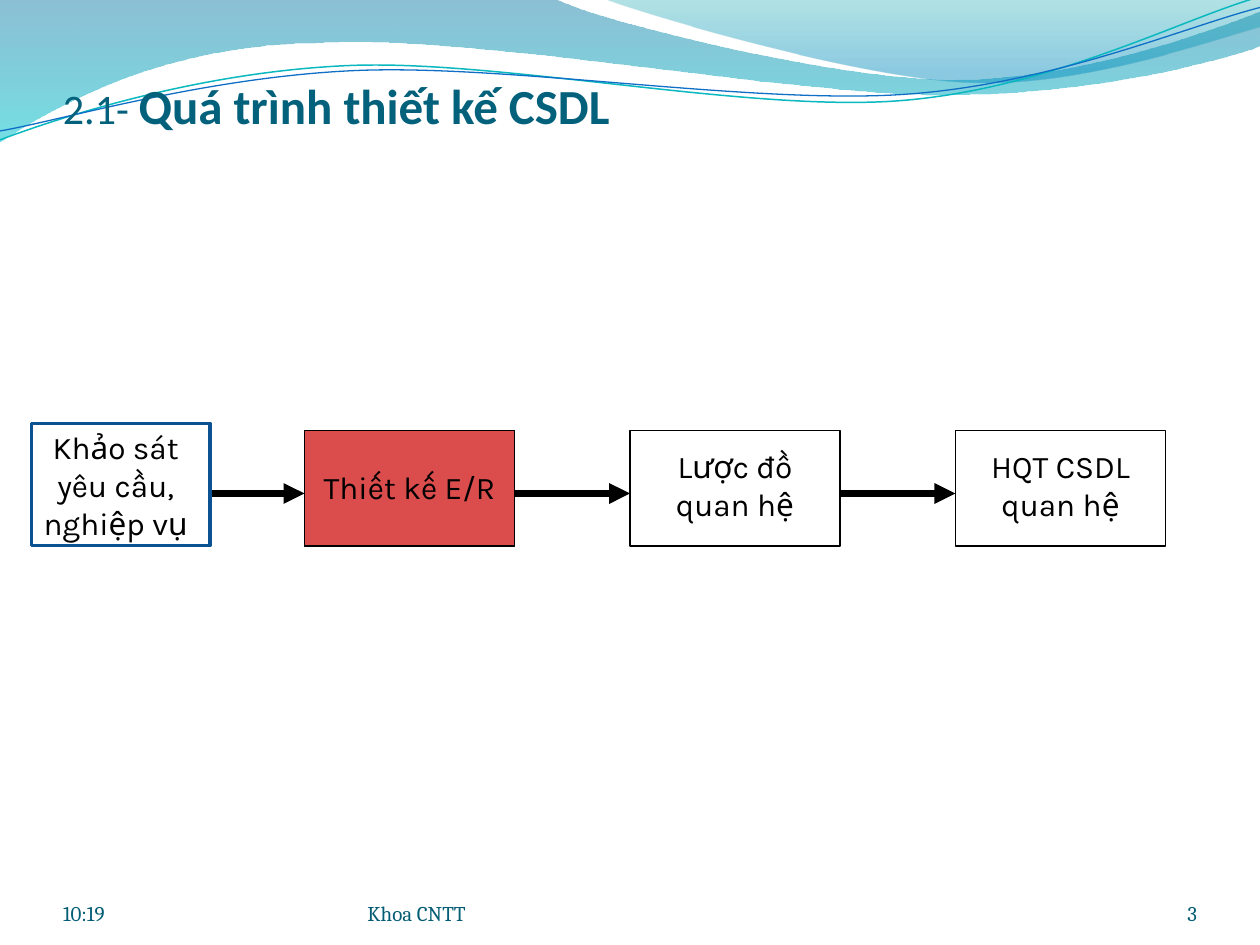
from dataclasses import dataclass
from math import cos, radians, sin

from lxml.etree import SubElement
from pptx import Presentation
from pptx.dml.color import RGBColor
from pptx.enum.shapes import MSO_CONNECTOR as Connector, MSO_SHAPE as Shape
from pptx.enum.text import MSO_ANCHOR as Anchor, MSO_AUTO_SIZE as AutoSize, PP_ALIGN as Align
from pptx.oxml.ns import qn
from pptx.util import Inches, Pt


@dataclass(frozen=True)
class Theme:
    """Colours, fonts and type sizes of the slide."""
    ink: str = "000000"
    title: str = "04617B"
    footer: str = "045D75"
    survey: str = "0B5292"
    current: str = "CC0000"
    heading_font: str = "Calibri"
    footer_font: str = "Cambria"
    step_font: str = "Karla"
    number_size: int = 24
    title_size: int = 28
    step_size: int = 18
    footer_size: int = 12


@dataclass(frozen=True)
class Box:
    """A region in grid cells; the slide has 120 columns and 90 rows."""
    left: float
    top: float
    width: float
    height: float

    def at(self, x, y, width, height):
        """Give a part, offset by x and y cells from the corner."""
        return Box(self.left + x, self.top + y, width, height)

    def emu(self):
        return [cells(v) for v in (self.left, self.top, self.width, self.height)]


THEME = Theme()
PAGE = Box(0, 0, 120, 90)
rgb = RGBColor.from_string


def cells(count):
    """Turn grid cells, twelve to the inch, into a length."""
    return Inches(count / 12)


def set_alpha(color_element, percent):
    """Make a colour element partly transparent."""
    SubElement(color_element, qn("a:alpha")).set("val", str(percent * 1000))


def set_font(font, name, size, color, bold=False):
    """Set the looks of a run or paragraph font."""
    font.name, font.size, font.bold = name, Pt(size), bold
    font.color.rgb = rgb(color)


def add_frame(slide, box, anchor, top_inset=0):
    """Add a wrapping text frame without side insets."""
    frame = slide.shapes.add_textbox(*box.emu()).text_frame
    frame.word_wrap, frame.vertical_anchor = True, anchor
    frame.margin_left = frame.margin_right = frame.margin_bottom = 0
    frame.margin_top = Inches(top_inset)
    return frame


def add_curve(slide, points, kinds, close=False):
    """Draw points (inches) as lines "L" and cubic curves "C"."""
    spots = [(Inches(x), Inches(y)) for x, y in points]
    builder = slide.shapes.build_freeform(*spots[0])
    builder.add_line_segments(spots[1:], close=close)
    curve = builder.convert_to_shape()
    curve.shadow.inherit = False
    corners = iter(list(curve.element.iter(qn("a:lnTo"))))
    for kind in kinds:
        corner = next(corners)
        if kind == "C":
            corner.tag = qn("a:cubicBezTo")
            for _ in range(2):
                extra = next(corners)
                corner.append(extra[0])
                extra.getparent().remove(extra)
    return curve


def add_band(slide, points, kinds, stops):
    """Draw a band shaded from top to bottom."""
    band = add_curve(slide, points, kinds, close=True)
    band.line.fill.background()
    band.fill.gradient()
    band.fill.gradient_angle = 270
    for stop, (position, color, _) in zip(band.fill.gradient_stops, stops):
        stop.position, stop.color.rgb = position, rgb(color)
    for element, (_, _, alpha) in zip(band.element.iter(qn("a:srgbClr")), stops):
        set_alpha(element, alpha)


def add_thread(slide, points, center, color, weight, tilt=2.7):
    """Draw a thin wave, laid level around its center and then tilted."""
    (cx, cy), c, s = center, cos(radians(tilt)), sin(radians(tilt))
    level = [(cx + (x - cx) * c - (y - cy) * s, cy + (x - cx) * s + (y - cy) * c)
             for x, y in points]
    thread = add_curve(slide, level, "CCC")
    thread.rotation = 360 - tilt
    thread.fill.background()
    thread.line.color.rgb, thread.line.width = rgb(color), Pt(weight)


def add_waves(slide):
    """Draw the two shaded bands and two thin waves at the top."""
    add_band(slide, [(0, -.01), (4.4, -.01), (4.76, .17), (6.64, .63), (7.58, .63),
                     (8.53, .63), (9.58, .26), (10, .09), (10.01, .36),
                     (9.83, .44), (8.7, .76), (7.46, .75), (6.22, .75), (3.82, .28),
                     (2.57, .34), (1.29, .35), (.46, .83), (-.01, 1.13), (0, -.01)],
             "LCCLCCCL", [(0, "0074A1", 45), (1, "00C6CF", 55)])
    add_band(slide, [(4.79, -.01), (5.09, .11), (6.82, .62), (7.69, .65),
                     (8.56, .69), (9.61, .32), (10, .21), (10, 0), (4.79, -.01)],
             "CCLL", [(0, "00A1A9", 30), (.8, "008BBF", 45)])
    add_thread(slide, [(0, 1.11), (.48, .93), (1.58, .57), (2.77, .52), (3.95, .47),
                       (5.93, .89), (7.13, .8), (8.33, .71), (9.38, .15), (9.98, -.02)],
               (4.99, .57), "0AB8BF", .85)
    add_thread(slide, [(0, 1.04), (.47, .96), (1.64, .61), (2.83, .56), (4.03, .51),
                       (5.97, .83), (7.17, .75), (8.36, .67), (9.41, .21), (10, .06)],
               (5, .59), "0F6FC6", .75)


def add_title(slide, box):
    """Write the section number and its bold heading."""
    heading = add_frame(slide, box, Anchor.BOTTOM, .05).paragraphs[0]
    for text, size, bold in [("2.1- ", THEME.number_size, False),
                             ("Quá trình thiết kế CSDL", THEME.title_size, True)]:
        run = heading.add_run()
        run.text = text
        set_font(run.font, THEME.heading_font, size, THEME.title, bold)


def add_border(slide, box, color, weight, fill=None):
    """Draw the rectangle of a step, filled or open."""
    border = slide.shapes.add_shape(Shape.RECTANGLE, *box.emu())
    border.shadow.inherit = False
    border.line.color.rgb, border.line.width = rgb(color), Pt(weight)
    if fill:
        border.fill.solid()
        border.fill.fore_color.rgb = rgb(fill)
        set_alpha(next(border.element.spPr.iter(qn("a:srgbClr"))), 70)
    else:
        border.fill.background()


def add_label(slide, box, text):
    """Write the centred label of a step."""
    frame = add_frame(slide, box, Anchor.TOP, .05)
    frame.margin_left = frame.margin_right = Inches(.1)
    frame.margin_bottom = Inches(.05)
    frame.auto_size = AutoSize.SHAPE_TO_FIT_TEXT
    label = frame.paragraphs[0]
    label.text, label.alignment = text, Align.CENTER
    set_font(label.font, THEME.step_font, THEME.step_size, THEME.ink)


def add_arrow(slide, start, end, row):
    """Draw a thick level arrow between two columns."""
    arrow = slide.shapes.add_connector(
        Connector.STRAIGHT, cells(start), cells(row), cells(end), cells(row))
    arrow.line.color.rgb, arrow.line.width = rgb(THEME.ink), Pt(4)
    SubElement(arrow.element.spPr.find(qn("a:ln")), qn("a:tailEnd")).set("type", "triangle")
    SubElement(arrow.element.spPr, qn("a:effectLst"))


def add_process(slide, box):
    """Lay out the survey step and three equal design steps with arrows."""
    survey = box.at(0, -.68, 17, 11.64)
    designs = [box.at(26 + 31 * i, 0, 20, box.height) for i in range(3)]
    add_border(slide, designs[0], THEME.ink, 1, THEME.current)
    add_label(slide, box.at(-.48, -.8, 17, 12.1), "Khảo sát yêu cầu, nghiệp vụ")
    for design, text, drop, height in zip(
            designs, ["Thiết kế E/R", "Lược đồ quan hệ", "HQT CSDL quan hệ"],
            [3, 1, 1], [4.8, 8.4, 8.4]):
        add_border(slide, design, THEME.ink, 1)
        add_label(slide, design.at(0, drop, design.width, height), text)
    for here, following in zip([survey, *designs], designs):
        add_arrow(slide, here.left + here.width, following.left, box.top + 6)
    add_border(slide, survey, THEME.survey, 2)


def add_footer(slide, box):
    """Write the time, the department and the slide number."""
    for text, column, width, align in [("10:19", 0, 28, Align.LEFT),
                                       ("Khoa CNTT", 29, 44, Align.LEFT),
                                       ("3", 98, 10, Align.RIGHT)]:
        frame = add_frame(slide, box.at(column, 0, width, box.height), Anchor.BOTTOM)
        note = frame.paragraphs[0]
        note.text, note.alignment = text, align
        set_font(note.font, THEME.footer_font, THEME.footer_size, THEME.footer)


deck = Presentation()
deck.slide_width, deck.slide_height = cells(PAGE.width), cells(PAGE.height)
page = deck.slides.add_slide(deck.slide_layouts[6])
add_waves(page)
add_title(page, Box(6, 4.6, 108, 8.2))
add_process(page, Box(3, 41, 108, 11))
add_footer(page, Box(6, 83.4, 108, 4.8))
deck.save("out.pptx")
